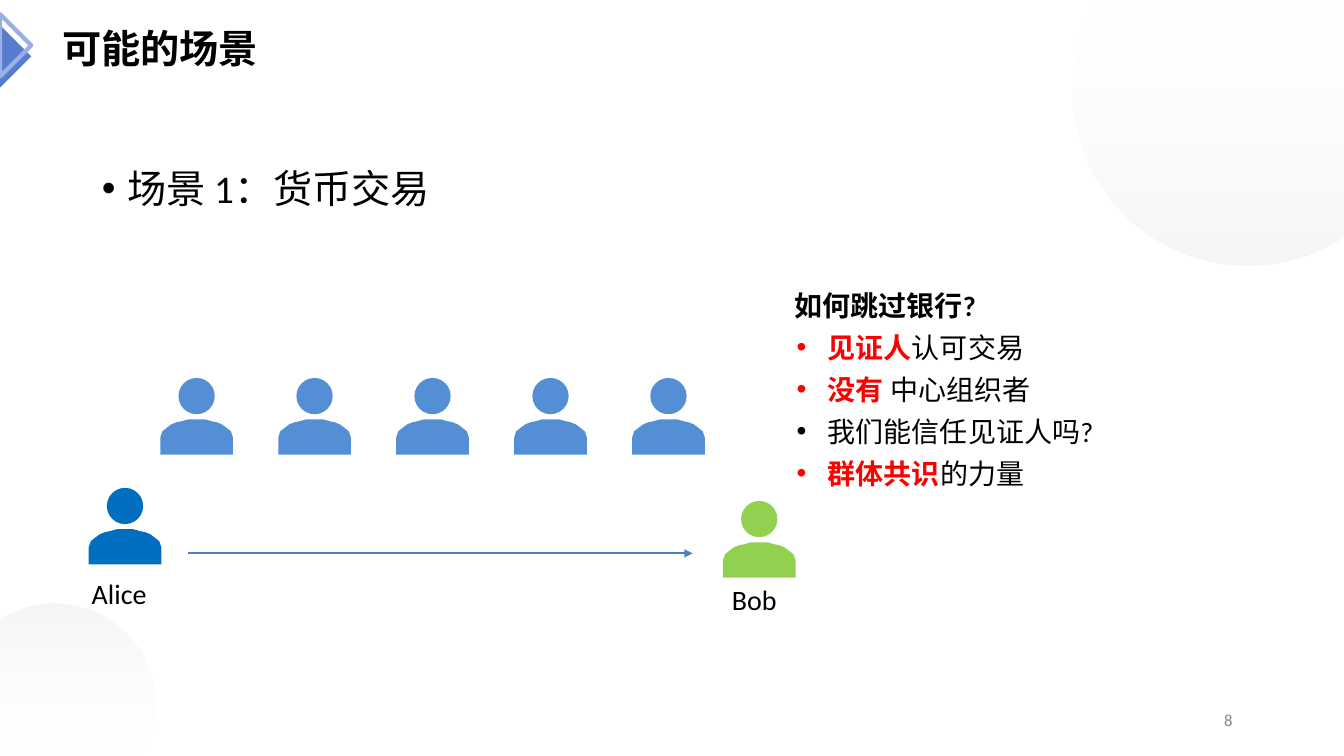
from dataclasses import dataclass
from math import cos, pi, sin

from lxml import etree
from pptx import Presentation
from pptx import util as u
from pptx.dml.color import RGBColor
from pptx.enum import shapes, text
from pptx.oxml import ns

SLIDE_W, SLIDE_H = 13.33, 7.5


@dataclass(frozen=True)
class Theme:
    latin: str = "Calibri"
    cjk: str = "Noto Sans CJK SC"
    ink: str = "000000"
    accent: str = "FF0000"
    muted: str = "888888"
    alice: str = "006FC0"
    bob: str = "92D050"
    witness: str = "548ED4"
    arrow: str = "4F81BC"
    wedge: str = "577CCE"
    wedge_line: str = "9AB0E2"
    heading: int = 28
    body: int = 20
    small: int = 12


THEME = Theme()

# Each run is (words, colour, bold)
TITLE = [("可能的场景", THEME.ink, True)]
SCENARIO = [("场景 1：货币交易", THEME.ink, False)]
QUESTION = [("如何跳过银行?", THEME.ink, True)]
ANSWERS = [
    [("见证人", THEME.accent, True), ("认可交易", THEME.ink, False)],
    [("没有 ", THEME.accent, True), ("中心组织者", THEME.ink, False)],
    [("我们能信任见证人吗?", THEME.ink, False)],
    [("群体共识", THEME.accent, True), ("的力量", THEME.ink, False)],
]
PAGE = [("8", THEME.muted, False)]

# Traders: name, colour, figure position, label box
TRADERS = [
    ("Alice", THEME.alice, (0.88, 4.84), (0.91, 5.71, 0.57, 0.36)),
    ("Bob", THEME.bob, (7.17, 4.97), (7.26, 5.77, 0.47, 0.36)),
]
WITNESSES, WITNESS_LEFT, WITNESS_TOP, WITNESS_STEP = 5, 1.59, 3.75, 1.17

FIGURE_W, HEAD_R = 0.72, 0.18
SHOULDER = [(0, 0.76), (0, 0.59), (0.02, 0.53), (0.07, 0.49), (0.11, 0.46),
            (0.16, 0.44), (0.21, 0.43), (0.28, 0.41), (0.36, 0.41)]

# Background discs: centre x, centre y, radius, gradient angle
DISCS = [(12.37, 0.9, 1.73, 270), (0.55, 6.97, 0.98, 90)]
DISC_STOPS = [("FFFFFF", 10), ("D8D8E4", 24)]
WEDGE_W, WEDGE_H = 0.31, 0.62


def rgb(colour):
    return RGBColor.from_string(colour)


def circle(cx, cy, radius, steps):
    angles = [2 * pi * i / steps for i in range(steps)]
    return [(cx + radius * cos(a), cy + radius * sin(a)) for a in angles]


def outline(slide, *contours):
    """Add one freeform made of closed contours given in inches."""
    scaled = [[(u.Inches(x), u.Inches(y)) for x, y in c] for c in contours]
    builder = slide.shapes.build_freeform(*scaled[0][0])
    for i, points in enumerate(scaled):
        if i:
            builder.move_to(*points[0])
        builder.add_line_segments(points[1:], close=True)
    shape = builder.convert_to_shape()
    shape.shadow.inherit = False
    shape.line.fill.background()
    return shape


def fill(shape, colour):
    shape.fill.solid()
    shape.fill.fore_color.rgb = rgb(colour)


def add_disc(slide, cx, cy, radius, angle):
    """Add a pale disc cut off at the slide's edges."""
    points = [(min(max(x, 0), SLIDE_W), min(max(y, 0), SLIDE_H))
              for x, y in circle(cx, cy, radius, 120)]
    disc = outline(slide, points)
    disc.fill.gradient()
    disc.fill.gradient_angle = angle
    for stop, (colour, _) in zip(disc.fill.gradient_stops, DISC_STOPS):
        stop.color.rgb = rgb(colour)
    colours = disc.fill._xPr.iter(ns.qn("a:srgbClr"))
    for element, (_, opacity) in zip(colours, DISC_STOPS):
        etree.SubElement(element, ns.qn("a:alpha"), val=str(opacity * 1000))


def add_wedge(slide, top):
    return outline(slide, [(0, top), (WEDGE_W, top + WEDGE_H / 2), (0, top + WEDGE_H)])


def add_person(slide, left, top, colour):
    mirrored = [(FIGURE_W - x, y) for x, y in SHOULDER[-2::-1]]
    body = [(left + x, top + y) for x, y in SHOULDER + mirrored]
    head = circle(left + FIGURE_W / 2, top + HEAD_R, HEAD_R, 24)
    fill(outline(slide, head, body), colour)


def add_arrow(slide, start, end, y):
    arrow = slide.shapes.add_connector(
        shapes.MSO_CONNECTOR.STRAIGHT, *map(u.Inches, (start, y, end, y)))
    arrow.line.width = u.Pt(1.5)
    arrow.line.color.rgb = rgb(THEME.arrow)
    etree.SubElement(arrow.line._get_or_add_ln(), ns.qn("a:tailEnd"), type="triangle")
    etree.SubElement(arrow._element.spPr, ns.qn("a:effectLst"))


def add_text(slide, box, paragraphs, size, insets=(0, 0.01, 0, 0), font=THEME.latin):
    frame = slide.shapes.add_textbox(*map(u.Inches, box)).text_frame
    frame.word_wrap = True
    (frame.margin_left, frame.margin_top,
     frame.margin_right, frame.margin_bottom) = map(u.Inches, insets)
    for i, runs in enumerate(paragraphs):
        paragraph = frame.paragraphs[0] if i == 0 else frame.add_paragraph()
        for words, colour, bold in runs:
            run = paragraph.add_run()
            run.text = words
            run.font.size = u.Pt(size)
            run.font.bold = bold
            run.font.name = font
            run.font.color.rgb = rgb(colour)
            etree.SubElement(run.font._element, ns.qn("a:ea"), typeface=font)
    return frame


def add_bullet(paragraph, colour, indent, hanging):
    props = paragraph._p.get_or_add_pPr()
    props.set("marL", str(u.Inches(indent)))
    props.set("indent", str(-u.Inches(hanging)))
    tint = etree.SubElement(props, ns.qn("a:buClr"))
    etree.SubElement(tint, ns.qn("a:srgbClr"), val=colour)
    etree.SubElement(props, ns.qn("a:buFont"), typeface="Arial")
    etree.SubElement(props, ns.qn("a:buChar"), char="•")


def main():
    deck = Presentation()
    deck.slide_width, deck.slide_height = u.Inches(SLIDE_W), u.Inches(SLIDE_H)
    slide = deck.slides.add_slide(deck.slide_layouts[6])

    for disc in DISCS:
        add_disc(slide, *disc)
    fill(add_wedge(slide, 0.25), THEME.wedge)
    frame_wedge = add_wedge(slide, 0.14)
    frame_wedge.fill.background()
    frame_wedge.line.color.rgb = rgb(THEME.wedge_line)
    frame_wedge.line.width = u.Pt(3)

    title = add_text(slide, (0.52, 0.22, 3.18, 0.57), [TITLE], THEME.heading,
                     (0.1, 0.05, 0.1, 0.11), THEME.cjk)
    title.vertical_anchor = text.MSO_ANCHOR.MIDDLE
    scenario = add_text(slide, (1, 1.62, 5.69, 0.49), [SCENARIO], THEME.heading)
    add_bullet(scenario.paragraphs[0], THEME.ink, 0.26, 0.25)

    for name, colour, place, label_box in TRADERS:
        add_person(slide, *place, colour)
        add_text(slide, label_box, [[(name, THEME.ink, False)]], THEME.body)
    add_arrow(slide, 1.86, 6.87, 5.49)
    for i in range(WITNESSES):
        add_person(slide, WITNESS_LEFT + i * WITNESS_STEP, WITNESS_TOP, THEME.witness)

    debate = add_text(slide, (7.88, 2.76, 5.35, 2.12), [QUESTION, *ANSWERS],
                      THEME.body, (0, 0.1, 0, 0))
    for paragraph, runs in zip(debate.paragraphs[1:], ANSWERS):
        paragraph.space_before = u.Pt(6)
        add_bullet(paragraph, runs[0][1], 0.33, 0.31)

    page = add_text(slide, (12.1, 7.07, 0.27, 0.19), [PAGE], THEME.small, (0.04, 0, 0, 0))
    page.paragraphs[0].line_spacing = u.Pt(12.4)
    deck.save("out.pptx")


if __name__ == "__main__":
    main()
